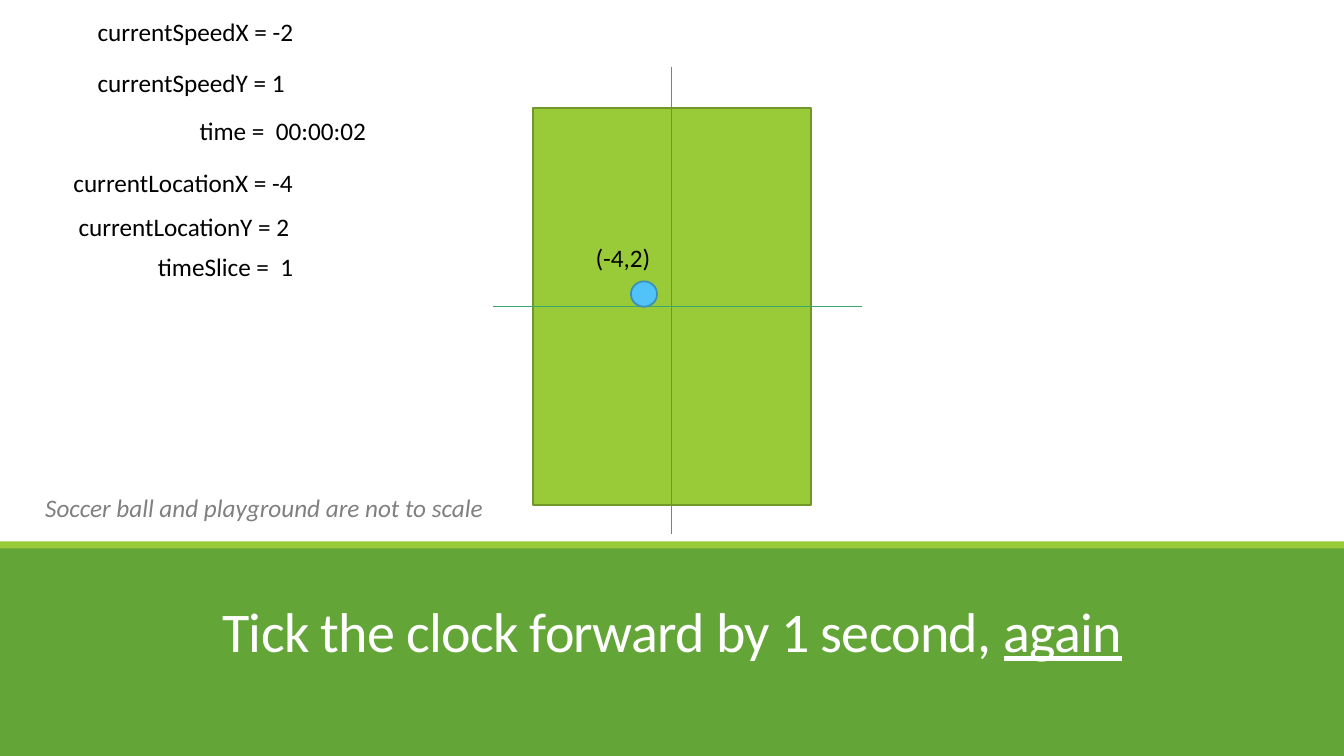
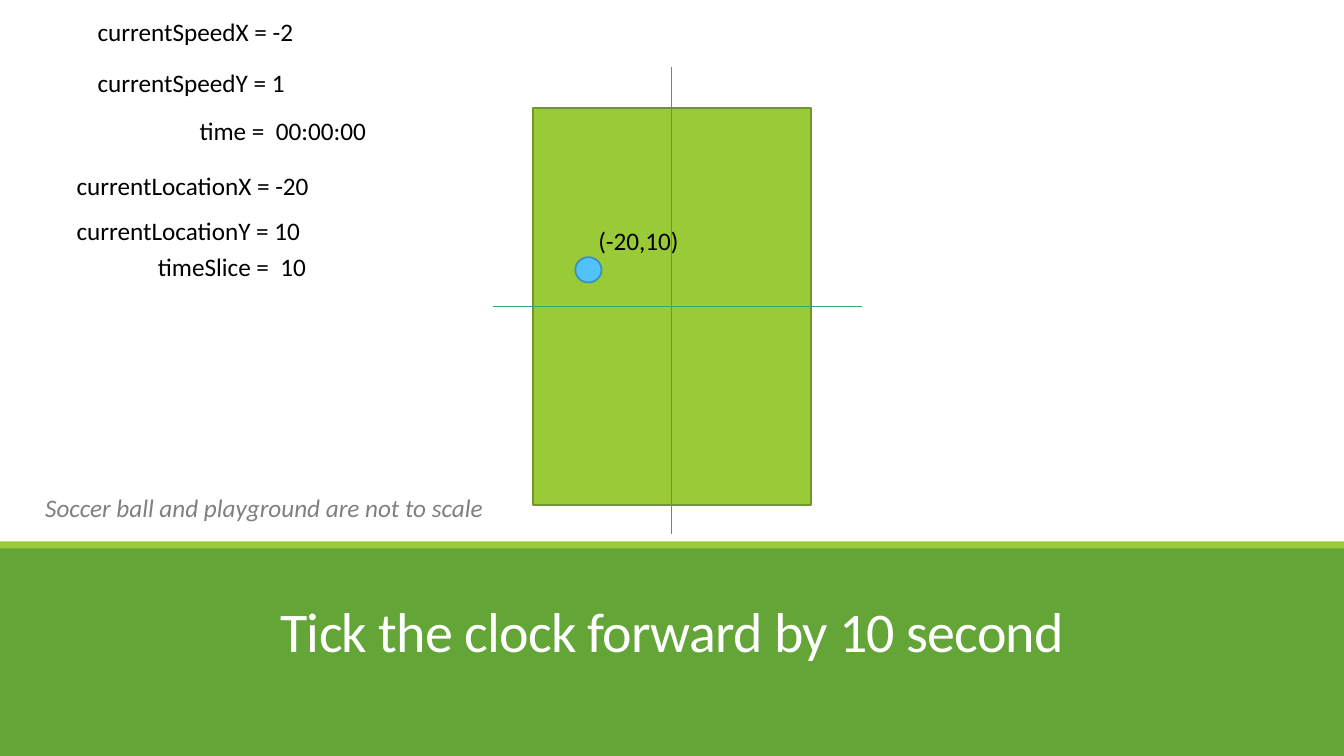
from dataclasses import dataclass

from pptx import Presentation
from pptx.dml.color import RGBColor as RGB
from pptx.enum.shapes import MSO_CONNECTOR as Connector, MSO_SHAPE as Shape
from pptx.enum.text import MSO_ANCHOR as Anchor, MSO_AUTO_SIZE as AutoSize, PP_ALIGN as Align
from pptx.oxml.ns import qn
from pptx.util import Cm, Pt


@dataclass(frozen=True)
class Theme:
    font: str = "Calibri"
    band: str = "63A537"
    lime: str = "99CB38"
    field_edge: str = "719629"
    axis: str = "37A76F"
    ball: str = "51C3F9"
    ball_edge: str = "3C90B8"
    ink: str = "000000"
    muted: str = "808080"
    white: str = "FFFFFF"
    title_size: float = 40
    text_size: float = 18
    edge_width: float = 1.25
    axis_width: float = 1


WIDTH, HEIGHT = 33.87, 19.05
ORIGIN_X, ORIGIN_Y = 16.93, 7.72
FIELD_WIDTH, FIELD_HEIGHT = 7.01, 10.01
BAND_TOP = 13.77
STRIPE_TOP, STRIPE_HEIGHT = 13.64, 0.18
BALL_WIDTH, BALL_HEIGHT = 0.66, 0.64
VARIABLE_WIDTH, LABEL_WIDTH = 9.88, 3.58
LINE_HEIGHT = 1.02


class Deck:
    def __init__(self, theme):
        self.theme = theme
        self.show = Presentation()
        self.show.slide_width, self.show.slide_height = Cm(WIDTH), Cm(HEIGHT)
        self.slide = None

    def new_slide(self):
        self.slide = self.show.slides.add_slide(self.show.slide_layouts[5])

    def style(self, paragraph, size, color, italic=None):
        font = paragraph.font
        font.name, font.size, font.italic = self.theme.font, Pt(size), italic
        font.color.rgb = RGB.from_string(color)

    def title(self, *parts):
        heading = self.slide.shapes.title
        heading.left, heading.top = Cm(2.97), Cm(14.58)
        heading.width, heading.height = Cm(27.94), Cm(2.87)
        frame = heading.text_frame
        frame.vertical_anchor = Anchor.MIDDLE
        frame.auto_size = AutoSize.NONE
        paragraph = frame.paragraphs[0]
        paragraph.alignment, paragraph.line_spacing = Align.CENTER, 0.85
        self.style(paragraph, self.theme.title_size, self.theme.white)
        for words, underlined in parts:
            run = paragraph.add_run()
            run.text = words
            if underlined:
                run.font.underline = True
            run._r.get_or_add_rPr().set("spc", "-50")
        self.slide.shapes._spTree.append(heading._element)

    def shape(self, kind, left, top, width, height, fill, edge=None):
        shape = self.slide.shapes.add_shape(kind, Cm(left), Cm(top), Cm(width), Cm(height))
        shape.shadow.inherit = False
        shape.fill.solid()
        shape.fill.fore_color.rgb = RGB.from_string(fill)
        if edge:
            shape.line.color.rgb = RGB.from_string(edge)
            shape.line.width = Pt(self.theme.edge_width)
        else:
            shape.line.fill.background()

    def axis(self, x1, y1, x2, y2):
        line = self.slide.shapes.add_connector(
            Connector.STRAIGHT, Cm(x1), Cm(y1), Cm(x2), Cm(y2))
        line.line.color.rgb = RGB.from_string(self.theme.axis)
        line.line.width = Pt(self.theme.axis_width)
        properties = line._element.spPr
        properties.append(properties.makeelement(qn("a:effectLst"), {}))

    def text(self, words, left, top, width, color=None, italic=None):
        box = self.slide.shapes.add_textbox(Cm(left), Cm(top), Cm(width), Cm(LINE_HEIGHT))
        frame = box.text_frame
        frame.word_wrap = True
        frame.auto_size = AutoSize.SHAPE_TO_FIT_TEXT
        paragraph = frame.paragraphs[0]
        paragraph.text = words
        self.style(paragraph, self.theme.text_size, color or self.theme.ink, italic)

    def bands(self):
        self.shape(Shape.RECTANGLE, 0, BAND_TOP, WIDTH, HEIGHT - BAND_TOP, self.theme.band)
        self.shape(Shape.RECTANGLE, 0, STRIPE_TOP, WIDTH, STRIPE_HEIGHT, self.theme.lime)

    def playground(self):
        self.shape(Shape.RECTANGLE, ORIGIN_X - FIELD_WIDTH / 2, ORIGIN_Y - FIELD_HEIGHT / 2,
                   FIELD_WIDTH, FIELD_HEIGHT, self.theme.lime, self.theme.field_edge)
        self.axis(ORIGIN_X, 1.68, ORIGIN_X, 13.46)
        self.axis(12.42, ORIGIN_Y, 21.72, ORIGIN_Y)
        self.text("Soccer ball and playground are not to scale", 0.89, 12.29, 17.65,
                  self.theme.muted, True)

    def ball(self, x, y, ball_at, label_at):
        self.shape(Shape.OVAL, *ball_at, BALL_WIDTH, BALL_HEIGHT,
                   self.theme.ball, self.theme.ball_edge)
        self.text(f"({x},{y})", *label_at, LABEL_WIDTH)

    def variables(self, x, y, x_at, y_at, time, time_slice):
        for words, left, top in (
            ("currentSpeedX = -2", 2.21, 0.28),
            ("currentSpeedY = 1", 2.21, 1.57),
            (f"timeSlice =  {time_slice}", 3.73, 6.2),
            (f"time =  {time}", 4.78, 2.77),
            (f"currentLocationX = {x}", *x_at),
            (f"currentLocationY = {y}", *y_at),
        ):
            self.text(words, left, top, VARIABLE_WIDTH)


@dataclass(frozen=True)
class Tick:
    title: tuple
    x: int
    y: int
    time: str
    time_slice: int
    ball_at: tuple
    label_at: tuple
    x_at: tuple
    y_at: tuple


TICKS = (
    Tick((("Tick the clock forward by 1 second, ", False), ("again", True)),
         -4, 2, "00:00:02", 1,
         (15.9, 7.09), (14.76, 5.99), (1.6, 4.09), (1.73, 5.21)),
    Tick((("Tick the clock forward by 10 second", False),),
         -20, 10, "00:00:00", 10,
         (14.5, 6.48), (14.83, 5.56), (1.68, 4.17), (1.68, 5.31)),
)

deck = Deck(Theme())
for tick in TICKS:
    deck.new_slide()
    deck.bands()
    deck.title(*tick.title)
    deck.playground()
    deck.ball(tick.x, tick.y, tick.ball_at, tick.label_at)
    deck.variables(tick.x, tick.y, tick.x_at, tick.y_at, tick.time, tick.time_slice)
deck.show.save("out.pptx")
